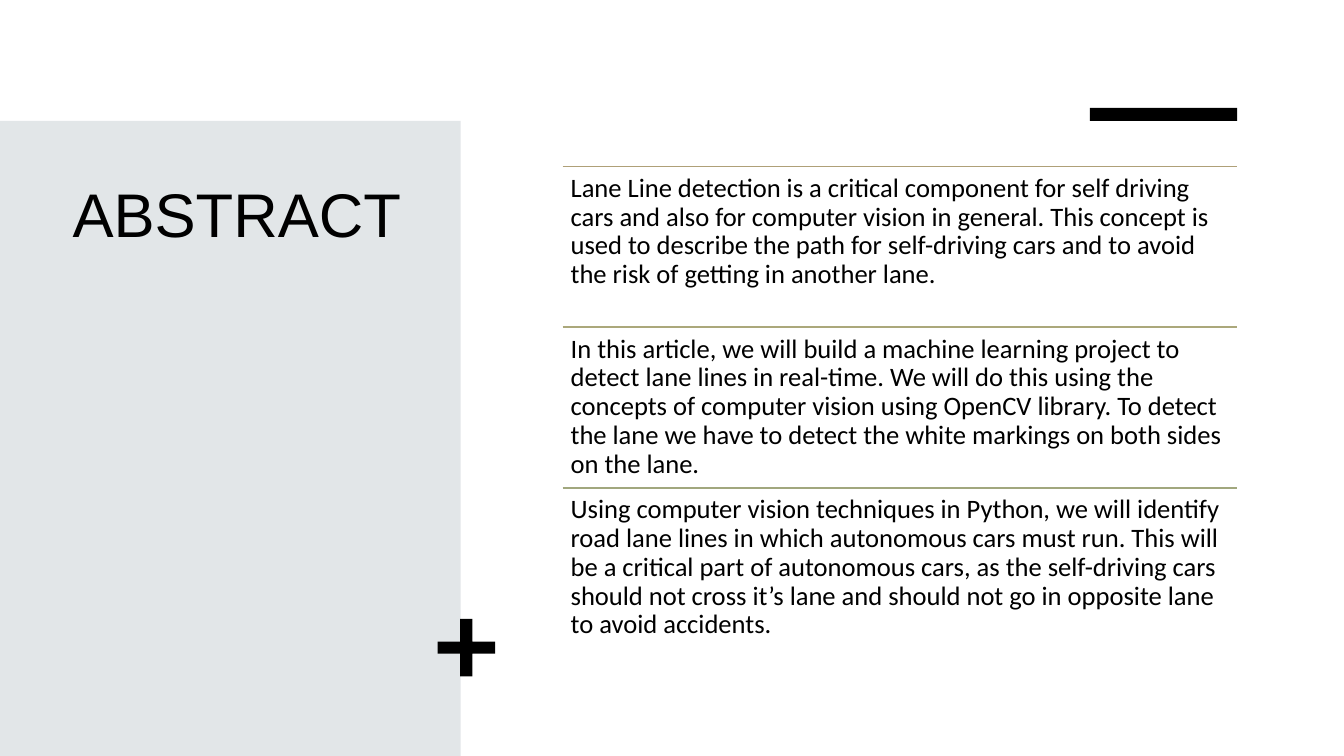
from lxml import etree
from pptx import Presentation
from pptx import util as u
from pptx.dml import color
from pptx.enum import shapes, text
from pptx.oxml import ns

BLACK = "000000"
PANEL_GREY = "E2E6E8"
LIST_LEFT, LIST_TOP, LIST_WIDTH, ROW_HEIGHT = 5.58, 1.65, 6.69, 1.595

# Rule colour and text of each row
ROWS = [
    ("AFA078", "Lane Line detection is a critical component for self driving cars "
     "and also for computer vision in general. This concept is used to describe the "
     "path for self-driving cars and to avoid the risk of getting in another lane."),
    ("ABA87B", "In this article, we will build a machine learning project to detect "
     "lane lines in real-time. We will do this using the concepts of computer vision "
     "using OpenCV library. To detect the lane we have to detect the white markings "
     "on both sides on the lane."),
    ("A1A77E", "Using computer vision techniques in Python, we will identify road lane "
     "lines in which autonomous cars must run. This will be a critical part of "
     "autonomous cars, as the self-driving cars should not cross it’s lane and should "
     "not go in opposite lane to avoid accidents."),
]


def rgb(value):
    return color.RGBColor.from_string(value)


def place(shape, left, top, width, height):
    shape.left, shape.top = u.Inches(left), u.Inches(top)
    shape.width, shape.height = u.Inches(width), u.Inches(height)


def format_text(shape, content, font_name, size, margin):
    """Fill a shape with one left-aligned, top-anchored paragraph."""
    frame = shape.text_frame
    frame.text = content
    frame.word_wrap = True
    frame.auto_size = text.MSO_AUTO_SIZE.NONE
    frame.vertical_anchor = text.MSO_ANCHOR.TOP
    frame.margin_left = frame.margin_right = u.Inches(margin)
    frame.margin_top = frame.margin_bottom = u.Inches(margin)
    paragraph = frame.paragraphs[0]
    paragraph.alignment = text.PP_ALIGN.LEFT
    font = paragraph.runs[0].font
    font.name, font.size = font_name, u.Pt(size)
    font.color.rgb = rgb(BLACK)
    return paragraph


def add_block(slide, kind, left, top, width, height, fill):
    shape = slide.shapes.add_shape(kind, 0, 0, 0, 0)
    place(shape, left, top, width, height)
    shape.shadow.inherit = False
    shape.fill.solid()
    shape.fill.fore_color.rgb = rgb(fill)
    shape.line.fill.background()
    return shape


def add_rule(slide, left, top, width, line_color):
    rule = slide.shapes.add_connector(
        shapes.MSO_CONNECTOR.STRAIGHT, u.Inches(left), u.Inches(top),
        u.Inches(left + width), u.Inches(top))
    rule.line.color.rgb = rgb(line_color)
    rule.line.width = u.Pt(1)
    etree.SubElement(rule.element.spPr, ns.qn("a:effectLst"))


def add_row(slide, top, line_color, content):
    add_rule(slide, LIST_LEFT, top, LIST_WIDTH, line_color)
    box = slide.shapes.add_textbox(0, 0, 0, 0)
    place(box, LIST_LEFT, top, LIST_WIDTH, ROW_HEIGHT)
    paragraph = format_text(box, content, "Calibri", 19, 0.08)
    paragraph.line_spacing = 0.9


def main():
    presentation = Presentation()
    presentation.slide_width = u.Inches(13.33)
    presentation.slide_height = u.Inches(7.5)
    slide = presentation.slides.add_slide(presentation.slide_layouts[5])

    # Title on the grey panel
    title = slide.shapes.title
    place(title, 0.62, 1.65, 3.5, 4.4)
    format_text(title, "ABSTRACT", "Arial", 44, 0.1)
    rectangle = shapes.MSO_SHAPE.RECTANGLE
    panel = add_block(slide, rectangle, 0, 1.2, 4.57, 6.3, PANEL_GREY)
    title.element.addprevious(panel.element)

    # Black accents
    add_block(slide, rectangle, 10.81, 1.07, 1.46, 0.13, BLACK)
    plus = add_block(slide, shapes.MSO_SHAPE.CROSS, 4.34, 6.14, 0.57, 0.57, BLACK)
    plus.adjustments[0] = 0.395

    # Ruled text rows
    for index, (line_color, content) in enumerate(ROWS):
        add_row(slide, LIST_TOP + index * ROW_HEIGHT, line_color, content)

    presentation.save("out.pptx")


if __name__ == "__main__":
    main()
